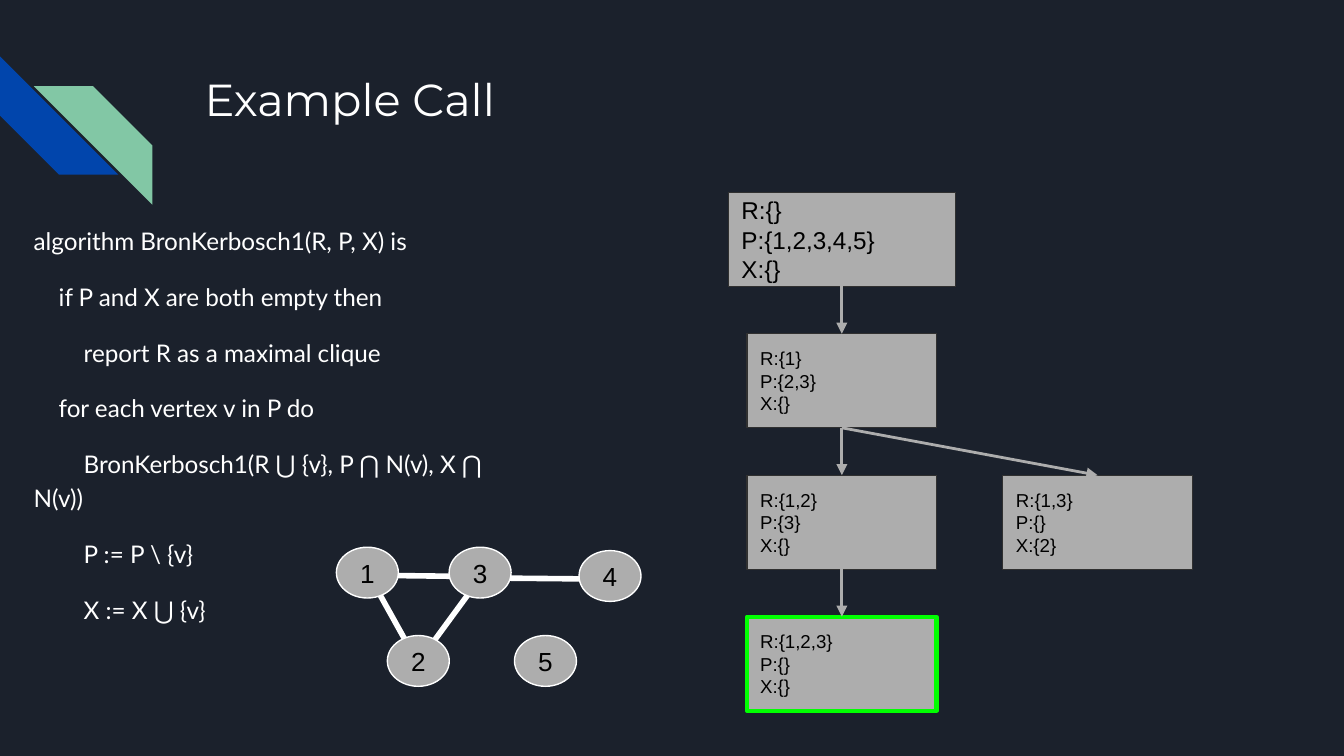
import pptx
import pptx.util
import pptx.dml.color
import pptx.enum.shapes
import pptx.enum.text
import pptx.oxml.ns
import lxml.etree

Pt = pptx.util.Pt
SHAPE = pptx.enum.shapes.MSO_SHAPE
ALIGN = pptx.enum.text.PP_ALIGN
ANCHOR = pptx.enum.text.MSO_ANCHOR
COLORS = {
    "background": "1B212C", "blue": "0145AC", "green": "82C7A5",
    "white": "FFFFFF", "black": "000000", "gray": "ADADAD",
    "border": "303030", "highlight": "00FF00",
}


def rgb(name):
    return pptx.dml.color.RGBColor.from_string(COLORS[name])


class Deck:
    """Holds the style and the current slide."""
    inset = 7.2
    indent = 13.4

    def __init__(self, width, height):
        self.prs = pptx.Presentation()
        self.prs.slide_width, self.prs.slide_height = Pt(width), Pt(height)
        self.s = self.prs.slides.add_slide(self.prs.slide_layouts[6])
        self.s.background.fill.solid()
        self.s.background.fill.fore_color.rgb = rgb("background")

    def fill_text(self, sp, lines, font, size, color="black",
                  anchor=ANCHOR.MIDDLE, **para):
        tf = sp.text_frame
        frame = {"word_wrap": True, "vertical_anchor": anchor}
        for side in ("left", "right", "top", "bottom"):
            frame["margin_" + side] = Pt(self.inset)
        for key, value in frame.items():
            setattr(tf, key, value)
        for i, line in enumerate(lines):
            p = tf.add_paragraph() if i else tf.paragraphs[0]
            for key, value in ({"alignment": ALIGN.LEFT} | para).items():
                setattr(p, key, value)
            r = p.add_run()
            r.text = line
            for key, value in {"name": font, "size": Pt(size)}.items():
                setattr(r.font, key, value)
            r.font.color.rgb = rgb(color)
        return tf

    def text(self, box, lines, font, size, **para):
        sp = self.s.shapes.add_textbox(*map(Pt, box))
        return self.fill_text(sp, lines, font, size, "white", ANCHOR.TOP,
                              **para)

    def code(self, box, lines):
        """Each line is (level, text); only its first row is indented."""
        tf = self.text(box, [line for _, line in lines], "Lato", 13,
                       line_spacing=1.15)
        for i, (p, (level, _)) in enumerate(zip(tf.paragraphs, lines)):
            p.space_before = Pt(12 if i else 0)
            pPr = p._p.get_or_add_pPr()
            pPr.set("marL", "0")
            pPr.set("indent", str(Pt(level * self.indent)))

    def shape(self, kind, box, fill, line=None, weight=0.75):
        sp = self.s.shapes.add_shape(kind, *map(Pt, box))
        sp.shadow.inherit = False
        sp.fill.solid()
        sp.fill.fore_color.rgb = rgb(fill)
        if line:
            sp.line.color.rgb = rgb(line)
            sp.line.width = Pt(weight)
        else:
            sp.line.fill.background()
        return sp

    def state(self, box, sets, size=10, line="border", weight=0.75):
        sp = self.shape(SHAPE.RECTANGLE, box, "gray", line, weight)
        lines = [f"{name}:{{{items}}}" for name, items in zip("RPX", sets)]
        self.fill_text(sp, lines, "Arial", size)
        return sp

    def node(self, label, left, top):
        sp = self.shape(SHAPE.OVAL, (left, top, 33.2, 27.2), "gray", "white")
        self.fill_text(sp, [label], "Arial", 14, alignment=ALIGN.CENTER)

    def line(self, ends, color, weight):
        sp = self.s.shapes.add_connector(
            pptx.enum.shapes.MSO_CONNECTOR.STRAIGHT, *map(Pt, ends))
        sp.line.color.rgb = rgb(color)
        sp.line.width = Pt(weight)
        lxml.etree.SubElement(sp._element.spPr,
                              pptx.oxml.ns.qn("a:effectLst"))
        return sp

    def arrow(self, parent, child):
        sp = self.line((0, 0, 0, 0), "gray", 1.5)
        sp.begin_connect(parent, 2)
        sp.end_connect(child, 0)
        lxml.etree.SubElement(sp.line._get_or_add_ln(),
                              pptx.oxml.ns.qn("a:tailEnd"), type="triangle")


deck = Deck(720, 405)

# Corner stripes
stripe = deck.shape(SHAPE.DIAGONAL_STRIPE, (0, 30.2, 63.4, 63.4), "blue")
stripe.rotation = 270
stripe = deck.shape(SHAPE.DIAGONAL_STRIPE, (18.2, 46.2, 63.4, 63.4), "green")
stripe._element.spPr.xfrm.set("flipH", "1")

# Title and pseudocode
deck.text((102.5, 31, 554, 72), ["Example Call"], "Montserrat", 24)
deck.code((11, 111.6, 272, 260), [
    (0, "algorithm BronKerbosch1(R, P, X) is"),
    (1, "if P and X are both empty then"),
    (2, "report R as a maximal clique"),
    (1, "for each vertex v in P do"),
    (2, "BronKerbosch1(R ⋃ {v}, P ⋂ N(v), X ⋂ N(v))"),
    (2, "P := P \\ {v}"),
    (2, "X := X ⋃ {v}"),
])

# Recursion tree: one row per call depth
CENTER, BRANCH_CENTER = 451, 588
TOP, ROW_STEP, HEIGHT, WIDTH = 103, 75.8, 50.4, 101.6


def place(row, center=CENTER, width=WIDTH):
    return center - width / 2, TOP + row * ROW_STEP, width, HEIGHT


root = deck.state(place(0, width=121.8), ("", "1,2,3,4,5", ""), 13)
call_1 = deck.state(place(1), ("1", "2,3", ""))
call_12 = deck.state(place(2), ("1,2", "3", ""))
clique = deck.state(place(3), ("1,2,3", "", ""), line="highlight", weight=2.25)
call_13 = deck.state(place(2, BRANCH_CENTER), ("1,3", "", "2"))
for parent, child in ((root, call_1), (call_1, call_12),
                      (call_12, clique), (call_1, call_13)):
    deck.arrow(parent, child)

# Example graph: edges behind nodes
for edge in ((197.3, 307.4, 224.6, 356.4), (257.8, 308.9, 224.6, 354.2),
             (198.7, 308.2, 255.6, 308.9), (257.8, 309.6, 326.9, 310.3)):
    deck.line(edge, "white", 3)
for label, left, top in (("1", 180.2, 293.2), ("2", 207.5, 340.5),
                         ("3", 240.6, 293.2), ("4", 310.2, 295),
                         ("5", 275.6, 340.5)):
    deck.node(label, left, top)

deck.prs.save("out.pptx")
